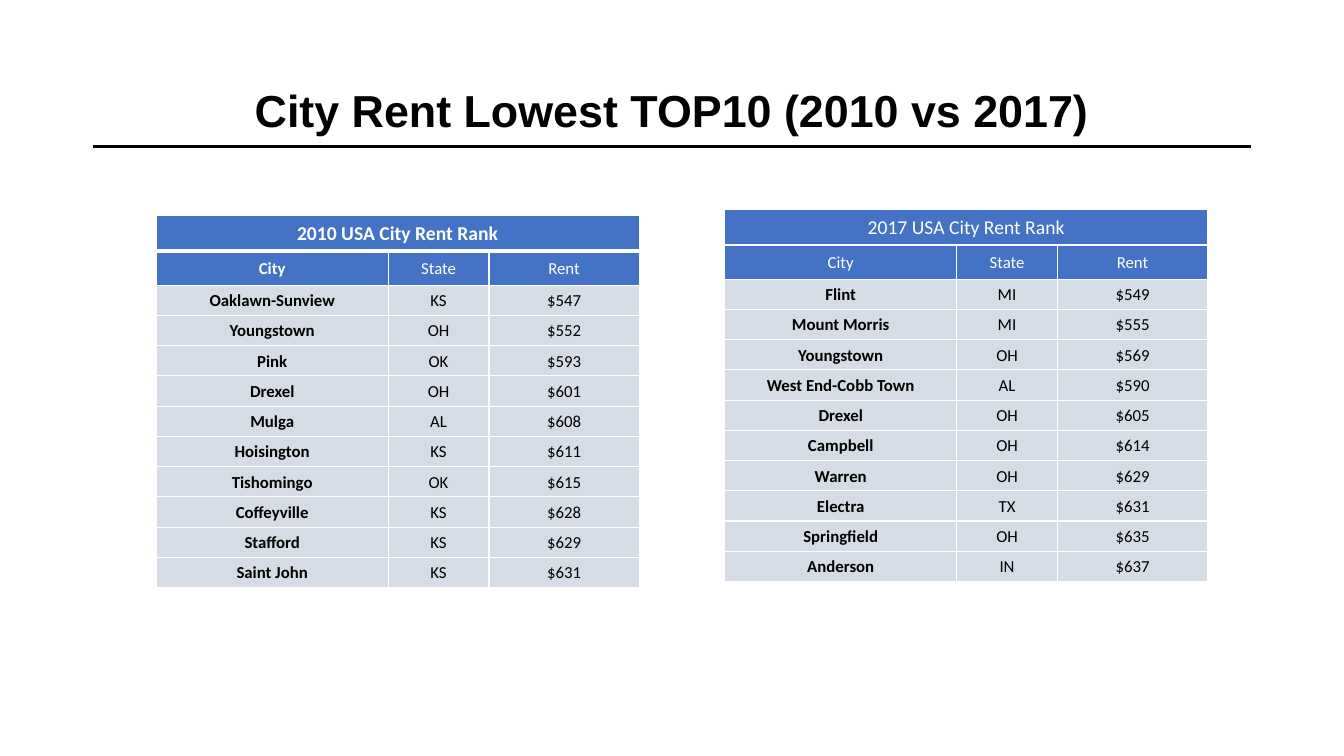
"""Build a slide comparing the ten lowest-rent US cities of 2010 and 2017."""
from dataclasses import dataclass

from lxml.etree import SubElement
from pptx import Presentation
from pptx.dml.color import RGBColor
from pptx.enum.shapes import MSO_CONNECTOR as Connector
from pptx.enum.text import MSO_ANCHOR as Anchor, PP_ALIGN as Align
from pptx.oxml.ns import qn
from pptx.slide import Slide
from pptx.table import _Cell as Cell
from pptx.text.text import TextFrame
from pptx.util import Inches, Pt

BLACK = RGBColor(0x00, 0x00, 0x00)
WHITE = RGBColor(0xFF, 0xFF, 0xFF)
BLUE = RGBColor(0x44, 0x72, 0xC4)
GREY = RGBColor(0xD6, 0xDC, 0xE5)

WIDTH, HEIGHT = Inches(13.33), Inches(7.5)
MARGIN = 6.9
RULE_Y = 19.33
COLUMNS = (17.25, 7.5, 11.18)
TITLE_ROW, HEADING_ROW, CITY_ROW = 4.67, 4.53, 4
INSET = 0.25
HEADINGS = ("City", "State", "Rent")


@dataclass(frozen=True)
class Style:
    size: float
    color: RGBColor
    bold: bool = False
    font: str = "Calibri"
    spacing: float = 1.07


@dataclass(frozen=True)
class Ranking:
    title: str
    left: float
    top: float
    bold_head: bool
    divider: float
    cities: tuple[tuple[str, str, str], ...]


RANKINGS = (
    Ranking("2010 USA City Rent Rank", 11.63, 28.53, True, 3, (
        ("Oaklawn-Sunview", "KS", "$547"),
        ("Youngstown", "OH", "$552"),
        ("Pink", "OK", "$593"),
        ("Drexel", "OH", "$601"),
        ("Mulga", "AL", "$608"),
        ("Hoisington", "KS", "$611"),
        ("Tishomingo", "OK", "$615"),
        ("Coffeyville", "KS", "$628"),
        ("Stafford", "KS", "$629"),
        ("Saint John", "KS", "$631"),
    )),
    Ranking("2017 USA City Rent Rank", 53.93, 27.73, False, 1, (
        ("Flint", "MI", "$549"),
        ("Mount Morris", "MI", "$555"),
        ("Youngstown", "OH", "$569"),
        ("West End-Cobb Town", "AL", "$590"),
        ("Drexel", "OH", "$605"),
        ("Campbell", "OH", "$614"),
        ("Warren", "OH", "$629"),
        ("Electra", "TX", "$631"),
        ("Springfield", "OH", "$635"),
        ("Anderson", "IN", "$637"),
    )),
)


def across(share: float) -> int:
    """Turn a percentage of the slide width into a length."""
    return round(WIDTH * share / 100)


def down(share: float) -> int:
    """Turn a percentage of the slide height into a length."""
    return round(HEIGHT * share / 100)


def write(tf: TextFrame, text: str, style: Style) -> None:
    """Write one centred run into a text frame."""
    p = tf.paragraphs[0]
    p.alignment = Align.CENTER
    p.line_spacing = style.spacing
    r = p.add_run()
    r.text = text
    r.font.size = Pt(style.size)
    r.font.name = style.font
    r.font.bold = style.bold
    r.font.color.rgb = style.color


def format_cell(cell: Cell, fill: RGBColor, top: float, bottom: float) -> None:
    """Set the insets, white borders and fill of a cell."""
    cell.vertical_anchor = Anchor.MIDDLE
    cell.margin_left = cell.margin_right = across(INSET)
    cell.margin_top = cell.margin_bottom = across(INSET)
    props = cell._tc.get_or_add_tcPr()
    for side, width in (("L", 1), ("R", 1), ("T", top), ("B", bottom)):
        ln = SubElement(props, qn(f"a:ln{side}"), w=str(Pt(width)))
        SubElement(SubElement(ln, qn("a:solidFill")), qn("a:srgbClr"), val=str(WHITE))
    cell.fill.solid()
    cell.fill.fore_color.rgb = fill


def add_title(s: Slide, text: str) -> None:
    """Add the slide title and the rule under it."""
    rule = s.shapes.add_connector(
        Connector.STRAIGHT, across(MARGIN), down(RULE_Y), across(100 - MARGIN), down(RULE_Y))
    rule.line.color.rgb = BLACK
    rule.line.width = Pt(2.25)
    SubElement(rule._element.spPr, qn("a:effectLst"))
    sp = s.shapes.add_textbox(
        across(MARGIN), down(5.33), across(100 - 2 * MARGIN), down(19.33))
    tf = sp.text_frame
    tf.word_wrap = True
    tf.vertical_anchor = Anchor.MIDDLE
    write(tf, text, Style(32, BLACK, True, "Arial", 0.9))


def add_ranking(s: Slide, ranking: Ranking) -> None:
    """Add one ranking table with its title and heading rows."""
    rows = ((ranking.title, "", ""), HEADINGS, *ranking.cities)
    heights = (TITLE_ROW, HEADING_ROW) + (CITY_ROW,) * len(ranking.cities)
    table = s.shapes.add_table(
        len(rows), len(COLUMNS), across(ranking.left), down(ranking.top),
        across(sum(COLUMNS)), down(sum(heights))).table
    table.first_row = table.horz_banding = False
    for column, width in zip(table.columns, COLUMNS):
        column.width = across(width)
    for y, (row, height) in enumerate(zip(rows, heights)):
        table.rows[y].height = down(height)
        head = y < 2
        for x, text in enumerate(row):
            cell = table.cell(y, x)
            format_cell(cell, BLUE if head else GREY,
                        ranking.divider if y == 1 else 1,
                        ranking.divider if y == 0 else 1)
            if text:
                bold = x == 0 and (ranking.bold_head or not head)
                write(cell.text_frame, text,
                      Style(14 if y == 0 else 12, WHITE if head else BLACK, bold))
    table.cell(0, 0).merge(table.cell(0, len(COLUMNS) - 1))


def main() -> None:
    """Build and save the slide."""
    prs = Presentation()
    prs.slide_width, prs.slide_height = WIDTH, HEIGHT
    s = prs.slides.add_slide(prs.slide_layouts[6])
    add_title(s, "City Rent Lowest TOP10 (2010 vs 2017)")
    for ranking in RANKINGS:
        add_ranking(s, ranking)
    prs.save("out.pptx")


if __name__ == "__main__":
    main()
